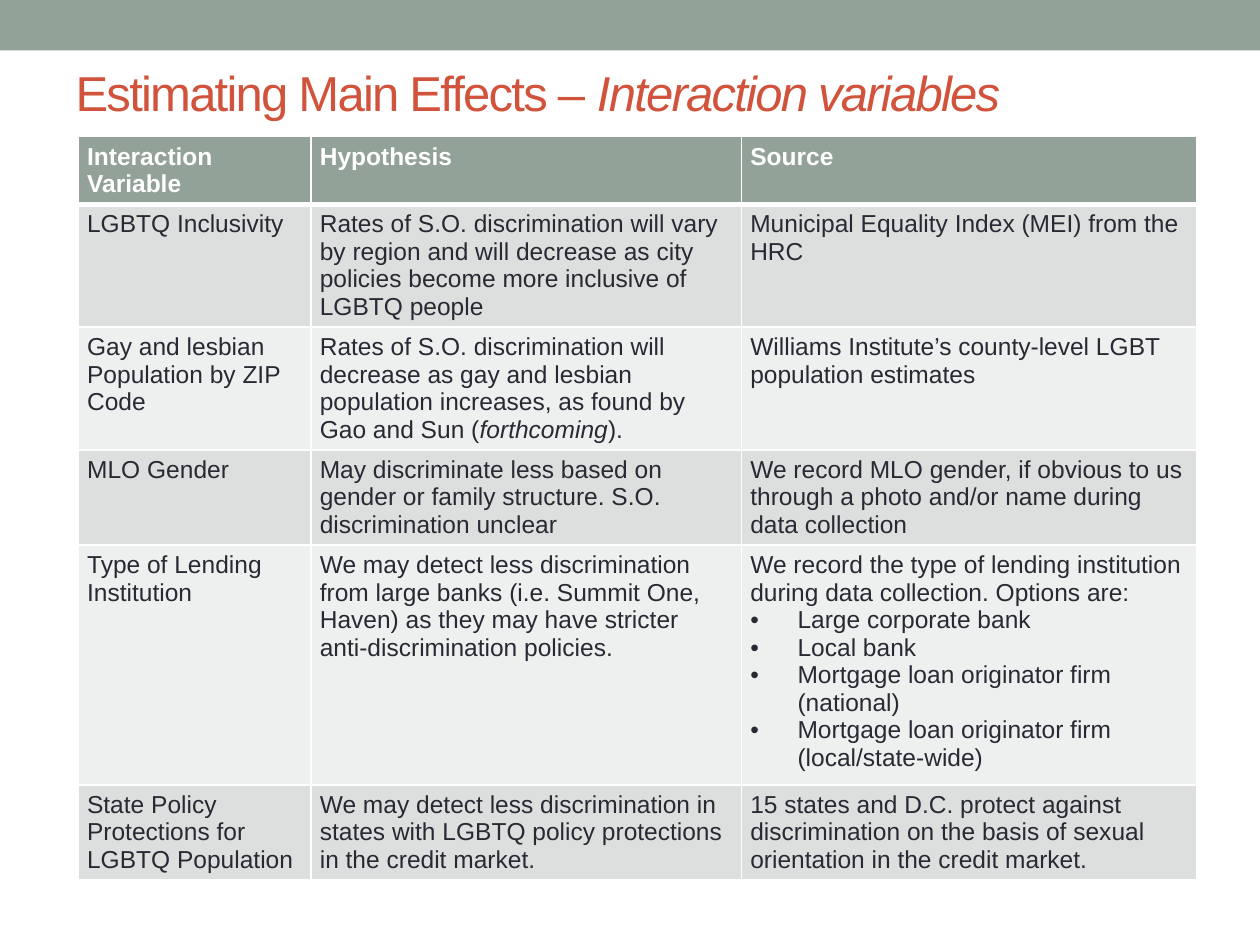
from dataclasses import dataclass

from lxml import etree
from pptx import Presentation
from pptx.dml.color import RGBColor
from pptx.enum import shapes, text
from pptx.oxml import ns
from pptx.util import Pt

FONT = "Arial"
SAGE, RUST, INK, WHITE = "93A299", "D2533C", "292934", "FFFFFF"
BANDS = ("DCDFDD", "EEF0EF")
COL_WIDTHS = (133, 246, 260)


@dataclass
class Row:
    height: float
    variable: str
    hypothesis: str
    source: str
    options: tuple[str, ...] = ()


ROWS = [
    Row(38, "Interaction Variable", "Hypothesis", "Source"),
    Row(70, "LGBTQ Inclusivity",
        "Rates of S.O. discrimination will vary by region and will decrease as city "
        "policies become more inclusive of LGBTQ people",
        "Municipal Equality Index (MEI) from the HRC"),
    Row(70, "Gay and lesbian Population by ZIP Code",
        "Rates of S.O. discrimination will decrease as gay and lesbian population "
        "increases, as found by Gao and Sun (*forthcoming*).",
        "Williams Institute’s county-level LGBT population estimates"),
    Row(54.5, "MLO Gender",
        "May discriminate less based on gender or family structure. "
        "S.O. discrimination unclear",
        "We record MLO gender, if obvious to us through a photo and/or name "
        "during data collection"),
    Row(137, "Type of Lending Institution",
        "We may detect less discrimination from large banks (i.e. Summit One, Haven) "
        "as they may have stricter anti-discrimination policies.",
        "We record the type of lending institution during data collection. Options are:",
        ("Large corporate bank", "Local bank",
         "Mortgage loan originator firm (national)",
         "Mortgage loan originator firm (local/state-wide)")),
    Row(54.5, "State Policy Protections for LGBTQ Population",
        "We may detect less discrimination in states with LGBTQ policy protections "
        "in the credit market.",
        "15 states and D.C. protect against discrimination on the basis of sexual "
        "orientation in the credit market."),
]


def rgb(color: str) -> RGBColor:
    return RGBColor.from_string(color)


def write(p, content: str, size: float, color: str, bold: bool = False) -> None:
    for i, part in enumerate(content.split("*")):
        r = p.add_run()
        r.text = part
        r.font.name, r.font.size = FONT, Pt(size)
        r.font.bold, r.font.italic = bold, i % 2 == 1
        r.font.color.rgb = rgb(color)


def add_bullet(p) -> None:
    pPr = p._p.get_or_add_pPr()
    pPr.set("marL", str(Pt(27)))
    pPr.set("indent", str(-Pt(27)))
    etree.SubElement(pPr, ns.qn("a:buFont")).set("typeface", FONT)
    etree.SubElement(pPr, ns.qn("a:buChar")).set("char", "•")


def add_borders(cell, top: float, bottom: float) -> None:
    tcPr = cell._tc.get_or_add_tcPr()
    for side, width in (("L", 1), ("R", 1), ("T", top), ("B", bottom)):
        ln = etree.SubElement(tcPr, ns.qn(f"a:ln{side}"), w=str(Pt(width)))
        fill = etree.SubElement(ln, ns.qn("a:solidFill"))
        etree.SubElement(fill, ns.qn("a:srgbClr"), val=WHITE)


def add_band(s) -> None:
    band = s.shapes.add_shape(shapes.MSO_SHAPE.RECTANGLE, 0, 0, Pt(720), Pt(28.8))
    band.shadow.inherit = False
    band.fill.solid()
    band.fill.fore_color.rgb = rgb(SAGE)
    band.line.fill.background()


def add_title(s, content: str) -> None:
    title = s.shapes.title
    title.left, title.top, title.width, title.height = Pt(36), Pt(32), Pt(648), Pt(41)
    tf = title.text_frame
    tf.vertical_anchor = text.MSO_ANCHOR.MIDDLE
    tf.auto_size = text.MSO_AUTO_SIZE.NONE
    p = tf.paragraphs[0]
    p.alignment = text.PP_ALIGN.LEFT
    write(p, content, 28, RUST)
    for r in p.runs:
        r._r.get_or_add_rPr().set("spc", "-100")


def fill_cell(cell, row: Row, column: int, index: int) -> None:
    header = index == 0
    add_borders(cell, 3 if index == 1 else 1, 3 if header else 1)
    cell.fill.solid()
    cell.fill.fore_color.rgb = rgb(SAGE if header else BANDS[(index - 1) % 2])
    cell.margin_left = cell.margin_right = Pt(5)
    cell.margin_top = cell.margin_bottom = Pt(3.6)
    tf = cell.text_frame
    color = WHITE if header else INK
    content = (row.variable, row.hypothesis, row.source)[column]
    write(tf.paragraphs[0], content, 14, color, header)
    if column == 2:
        for option in row.options:
            p = tf.add_paragraph()
            add_bullet(p)
            write(p, option, 14, color)


def add_variables_table(s, rows: list[Row]) -> None:
    table = s.shapes.add_table(
        len(rows), len(COL_WIDTHS), Pt(44.8), Pt(78),
        Pt(sum(COL_WIDTHS)), Pt(sum(row.height for row in rows))).table
    for column, width in zip(table.columns, COL_WIDTHS):
        column.width = Pt(width)
    for i, row in enumerate(rows):
        table.rows[i].height = Pt(row.height)
        for j in range(len(COL_WIDTHS)):
            fill_cell(table.cell(i, j), row, j, i)


def main() -> None:
    prs = Presentation()
    prs.slide_width, prs.slide_height = Pt(720), Pt(540)
    s = prs.slides.add_slide(prs.slide_layouts[5])
    add_band(s)
    add_title(s, "Estimating Main Effects – *Interaction variables")
    add_variables_table(s, ROWS)
    prs.save("out.pptx")


if __name__ == "__main__":
    main()
